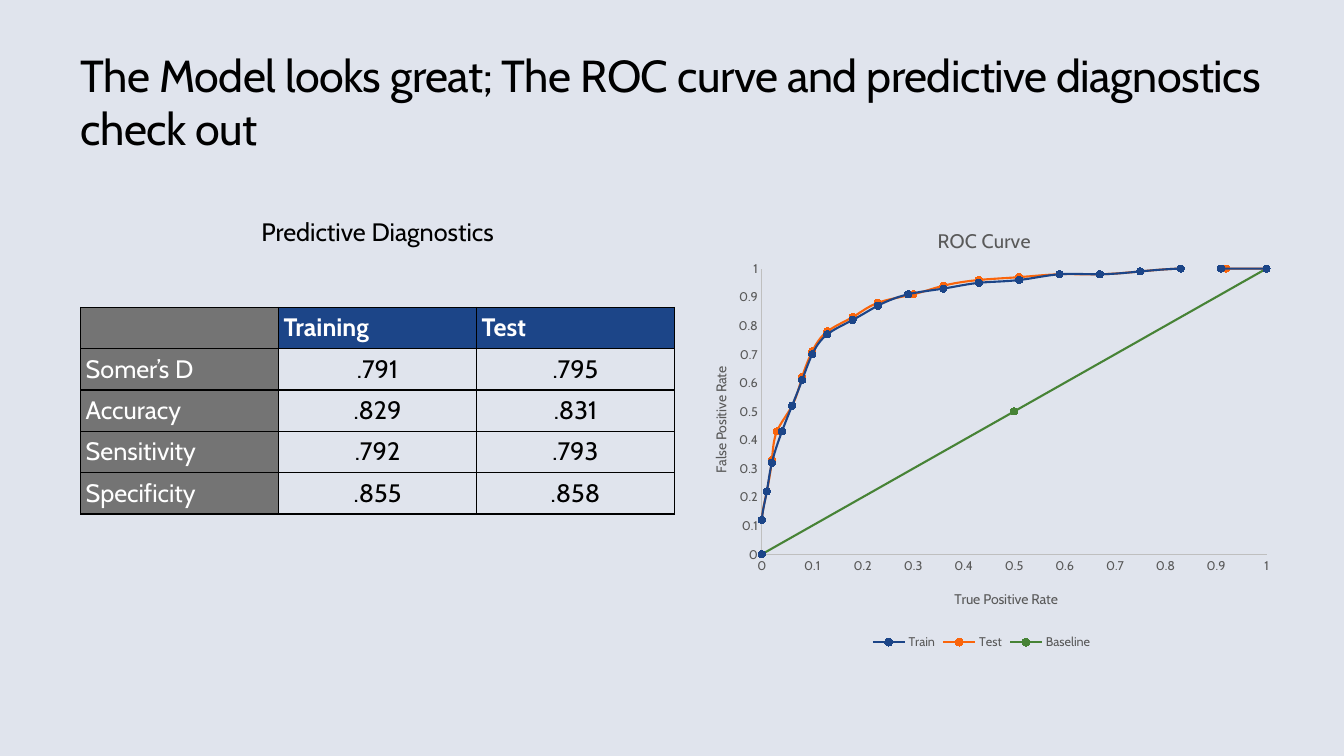
"""Build a slide with model diagnostics in a table and a ROC chart."""
from lxml.etree import SubElement as Sub
from pptx import Presentation
from pptx.chart.data import XyChartData as XyData
from pptx.dml.color import RGBColor as Rgb
from pptx.enum.chart import XL_CHART_TYPE as Kind
from pptx.enum.chart import XL_LEGEND_POSITION as Place
from pptx.enum.chart import XL_MARKER_STYLE as Mark
from pptx.enum.chart import XL_TICK_MARK as Tick
from pptx.enum.text import MSO_ANCHOR as Anchor
from pptx.enum.text import MSO_AUTO_SIZE as Fit
from pptx.enum.text import PP_ALIGN as Align
from pptx.oxml.ns import qn
from pptx.util import Inches, Pt

FACE = "Cabin"
BLACK = Rgb(0x00, 0x00, 0x00)
WHITE = Rgb(0xFF, 0xFF, 0xFF)
PALE = Rgb(0xE0, 0xE4, 0xED)
GRAY = Rgb(0x74, 0x74, 0x74)
BLUE = Rgb(0x1C, 0x45, 0x88)
RED = Rgb(0xFA, 0x65, 0x0C)
GREEN = Rgb(0x47, 0x83, 0x36)
SLATE = Rgb(0x59, 0x59, 0x59)
SILVER = Rgb(0xBF, 0xBF, 0xBF)

ROWS = [
    ("", "Training", "Test"),
    ("Somer’s D", ".791", ".795"),
    ("Accuracy", ".829", ".831"),
    ("Sensitivity", ".792", ".793"),
    ("Specificity", ".855", ".858"),
]
CURVES = [
    ("Train", BLUE,
     [1, 0.91, 0.83, 0.75, 0.67, 0.59, 0.51, 0.43, 0.36, 0.29, 0.23,
      0.18, 0.13, 0.1, 0.08, 0.06, 0.04, 0.02, 0.01, 0, 0],
     [1, 1, 1, 0.99, 0.98, 0.98, 0.96, 0.95, 0.93, 0.91, 0.87,
      0.82, 0.77, 0.7, 0.61, 0.52, 0.43, 0.32, 0.22, 0.12, 0]),
    ("Test", RED,
     [1, 0.92, 0.83, 0.75, 0.67, 0.59, 0.51, 0.43, 0.36, 0.3, 0.23,
      0.18, 0.13, 0.1, 0.08, 0.06, 0.03, 0.02, 0.01, 0, 0],
     [1, 1, 1, 0.99, 0.98, 0.98, 0.97, 0.96, 0.94, 0.91, 0.88,
      0.83, 0.78, 0.71, 0.62, 0.52, 0.43, 0.33, 0.22, 0.12, 0]),
    ("Baseline", GREEN, [1, 0.5, 0], [1, 0.5, 0]),
]


def style(font, size, color, bold=False):
    font.name, font.size, font.bold = FACE, Pt(size), bold
    font.color.rgb = color


def write(frame, text, size, color, align=Align.LEFT, bold=False):
    para = frame.paragraphs[0]
    para.alignment = align
    run = para.add_run()
    run.text = text
    style(run.font, size, color, bold)
    return run


def add_title(slide, text):
    title = slide.shapes.title
    title.left, title.top = Inches(0.8), Inches(0.47)
    title.width, title.height = Inches(12.2), Inches(1.09)
    frame = title.text_frame
    frame.margin_left = frame.margin_right = 0
    frame.margin_top = frame.margin_bottom = 0
    frame.word_wrap, frame.auto_size = True, Fit.NONE
    frame.vertical_anchor = Anchor.TOP
    run = write(frame, text, 32, BLACK)
    run.font._element.set("spc", "-40")


def add_label(slide, text, left, top, width, height):
    box = slide.shapes.add_textbox(
        Inches(left), Inches(top), Inches(width), Inches(height))
    box.text_frame.word_wrap = True
    write(box.text_frame, text, 18, BLACK, Align.CENTER)


def edge(cell):
    props = cell._tc.get_or_add_tcPr()
    for side in ("a:lnL", "a:lnR", "a:lnT", "a:lnB"):
        line = Sub(props, qn(side), w=str(Pt(1)))
        fill = Sub(line, qn("a:solidFill"))
        Sub(fill, qn("a:srgbClr"), val=str(BLACK))


def fill_cell(cell, text, row, col):
    edge(cell)
    cell.margin_left = cell.margin_right = Inches(0.05)
    cell.margin_top = cell.margin_bottom = Inches(0.05)
    head, body = row == 0, row > 0 and col > 0
    if body:
        cell.fill.background()
    else:
        cell.fill.solid()
        cell.fill.fore_color.rgb = BLUE if col else GRAY
    if text:
        write(cell.text_frame, text, 18, BLACK if body else WHITE,
              Align.CENTER if body else Align.LEFT, head)


def add_grid(slide, rows, left, top, width, high):
    table = slide.shapes.add_table(
        len(rows), len(rows[0]), Inches(left), Inches(top),
        Inches(width), Inches(high * len(rows))).table
    table.first_row = table.horz_banding = False
    for row, texts in enumerate(rows):
        for col, text in enumerate(texts):
            fill_cell(table.cell(row, col), text, row, col)


def put(node, **spots):
    lay = node.find(qn("c:layout"))
    if lay is None:
        lay = Sub(node, qn("c:layout"))
        node.insert(0 if node.find(qn("c:tx")) is None else 1, lay)
    spec_box = Sub(lay, qn("c:manualLayout"))
    if "w" in spots:
        Sub(spec_box, qn("c:layoutTarget"), val="inner")
    for key in ("x", "y"):
        Sub(spec_box, qn(f"c:{key}Mode"), val="edge")
    for key, val in spots.items():
        Sub(spec_box, qn(f"c:{key}"), val=str(val))


def name_part(title, text, size, x, y):
    write(title.text_frame, text, size, SLATE, Align.CENTER)
    put(title._element, x=x, y=y)


def set_axis(axis, text, x, y):
    axis.minimum_scale, axis.maximum_scale = 0, 1
    axis.major_unit = 0.1
    axis.has_major_gridlines = False
    axis.major_tick_mark = axis.minor_tick_mark = Tick.NONE
    axis.tick_labels.number_format = "General"
    axis.tick_labels.number_format_is_linked = False
    style(axis.tick_labels.font, 9, SLATE)
    axis.format.line.color.rgb = SILVER
    axis.format.line.width = Pt(0.75)
    name_part(axis.axis_title, text, 10, x, y)


def set_curve(curve, color):
    curve.format.line.color.rgb = color
    curve.format.line.width = Pt(1.5)
    curve._element.get_or_add_smooth().val = True
    mark = curve.marker
    mark.style, mark.size = Mark.CIRCLE, 5
    mark.format.fill.solid()
    mark.format.fill.fore_color.rgb = color
    mark.format.line.color.rgb = color


def add_plot(slide, left, top, width, height):
    data = XyData()
    for name, _, across, up in CURVES:
        curve = data.add_series(name)
        for x, y in zip(across, up):
            curve.add_data_point(x, y)
    chart = slide.shapes.add_chart(
        Kind.XY_SCATTER_SMOOTH, Inches(left), Inches(top),
        Inches(width), Inches(height), data).chart
    style(chart.font, 10, BLACK)
    plot = chart.plots[0]
    plot.vary_by_categories = False
    for curve, (_, color, _, _) in zip(plot.series, CURVES):
        set_curve(curve, color)
    name_part(chart.chart_title, "ROC Curve", 14, 0.42, 0.05)
    set_axis(chart.category_axis, "True Positive Rate", 0.45, 0.85)
    set_axis(chart.value_axis, "False Positive Rate", 0.04, 0.36)
    put(chart._chartSpace.chart.plotArea, x=0.13, y=0.15, w=0.85, h=0.63)
    chart.has_legend = True
    chart.legend.position = Place.BOTTOM
    chart.legend.include_in_layout = False
    style(chart.legend.font, 9, SLATE)


def main():
    deck = Presentation()
    deck.slide_width, deck.slide_height = Inches(13.33), Inches(7.5)
    slide = deck.slides.add_slide(deck.slide_layouts[5])
    slide.background.fill.solid()
    slide.background.fill.fore_color.rgb = PALE
    add_title(slide, "The Model looks great; The ROC curve and "
                     "predictive diagnostics check out")
    add_grid(slide, ROWS, 0.8, 3.05, 5.89, 0.41)
    add_label(slide, "Predictive Diagnostics", 1.82, 2.1, 3.85, 0.4)
    add_plot(slide, 6.79, 1.99, 5.89, 4.5)
    deck.save("out.pptx")


if __name__ == "__main__":
    main()
